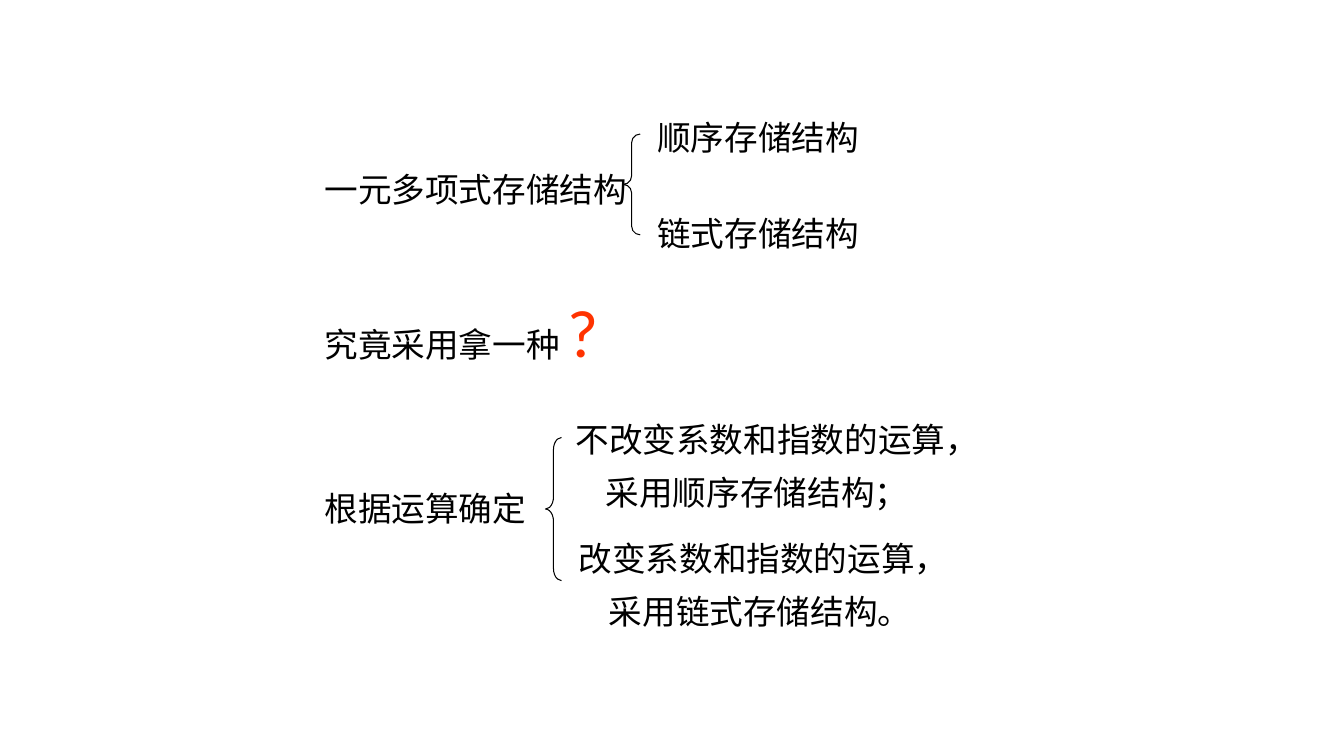
"""Slide on choosing a storage structure for polynomials in one variable."""
from dataclasses import dataclass

from pptx import Presentation
from pptx.dml.color import RGBColor as Rgb
from pptx.enum.shapes import MSO_SHAPE as Kind
from pptx.enum.text import MSO_AUTO_SIZE as Fit
from pptx.slide import Slide
from pptx.text.text import _Paragraph as Para
from pptx.util import Emu, Pt

SCALE = 9144
FONT = "Calibri"
BLACK = "000000"
RED = "FF3300"
INDENT = 30
LEFT = 312
RIGHT = 642


@dataclass
class Label:
    x: int
    y: int
    w: int
    h: int
    lines: tuple[str, ...]
    mark: str = ""


@dataclass
class Brace:
    x: int
    y: int
    w: int
    h: int
    curl: float


LABELS = [
    Label(LEFT, 151, 331, 58, ("一元多项式存储结构",)),
    Label(LEFT, 259, 306, 107, ("究竟采用拿一种 ",), mark="?"),
    Label(RIGHT, 99, 230, 58, ("顺序存储结构",)),
    Label(RIGHT, 194, 230, 58, ("链式存储结构",)),
    Label(LEFT, 467, 237, 58, ("根据运算确定",)),
    Label(561, 399, 428, 114, ("不改变系数和指数的运算，", "采用顺序存储结构；")),
    Label(564, 517, 395, 114, ("改变系数和指数的运算，", "采用链式存储结构。")),
]
BRACES = [Brace(618, 133, 17, 100, 0.5), Brace(541, 434, 16, 142, 0.75)]


def px(size: int) -> Emu:
    return Emu(size * SCALE)


def area(part: Label | Brace) -> tuple[Emu, Emu, Emu, Emu]:
    return px(part.x), px(part.y), px(part.w), px(part.h)


def color(code: str) -> Rgb:
    return Rgb.from_string(code)


def write(para: Para, text: str, *, size: int = 24, tint: str = BLACK) -> None:
    run = para.add_run()
    run.text = text
    run.font.name = FONT
    run.font.size = Pt(size)
    run.font.color.rgb = color(tint)


def draw_label(slide: Slide, label: Label) -> None:
    frame = slide.shapes.add_textbox(*area(label)).text_frame
    frame.word_wrap = True
    frame.auto_size = Fit.SHAPE_TO_FIT_TEXT
    for row, line in enumerate(label.lines):
        para = frame.add_paragraph() if row else frame.paragraphs[0]
        para.line_spacing = 1.3
        if row:
            para._p.get_or_add_pPr().set("marL", str(px(INDENT)))
        write(para, line)
    if label.mark:
        write(para, label.mark, size=48, tint=RED)


def draw_brace(slide: Slide, brace: Brace) -> None:
    shape = slide.shapes.add_shape(Kind.LEFT_BRACE, *area(brace))
    shape.shadow.inherit = False
    shape.adjustments[0] = brace.curl
    shape.fill.background()
    shape.line.color.rgb = color(BLACK)
    shape.line.width = Pt(0.75)


def main() -> None:
    deck = Presentation()
    deck.slide_width, deck.slide_height = px(1333), px(750)
    slide = deck.slides.add_slide(deck.slide_layouts[6])
    for label in LABELS:
        draw_label(slide, label)
    for brace in BRACES:
        draw_brace(slide, brace)
    deck.save("out.pptx")


if __name__ == "__main__":
    main()
